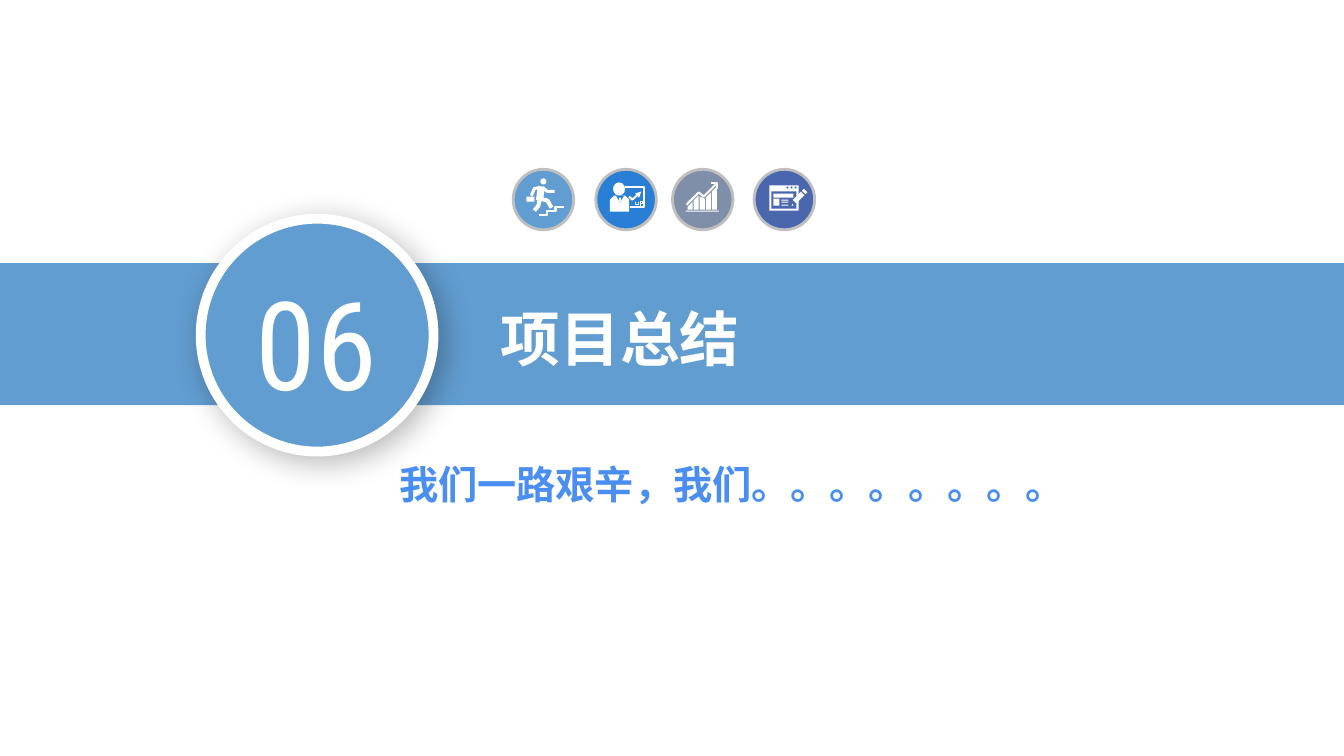
from lxml import etree
from pptx import Presentation
from pptx.dml.color import RGBColor
from pptx.enum.shapes import MSO_SHAPE
from pptx.enum.text import MSO_ANCHOR, PP_ALIGN
from pptx.oxml.ns import qn
from pptx.util import Inches, Pt

RECTANGLE, OVAL = MSO_SHAPE.RECTANGLE, MSO_SHAPE.OVAL
LEFT, CENTER = PP_ALIGN.LEFT, PP_ALIGN.CENTER
MIDDLE = MSO_ANCHOR.MIDDLE

WHITE = RGBColor(0xFF, 0xFF, 0xFF)
SKY = RGBColor(0x62, 0x9D, 0xD1)
BLUE = RGBColor(0x29, 0x7F, 0xD5)
SLATE = RGBColor(0x7F, 0x8F, 0xA9)
INDIGO = RGBColor(0x4A, 0x66, 0xAC)
RING_GRAY = RGBColor(0xBF, 0xBF, 0xBF)
SUBTITLE_BLUE = RGBColor(0x4A, 0x8E, 0xF2)

CJK_FONT = "Noto Sans CJK SC"
BAND = (0, 2.61, 13.33, 1.41)
BADGE = (1.99, 2.17, 2.31, 2.31)
TITLE = ("项目总结", (4.87, 2.94, 4.72, 0.82), LEFT,
         {"name": CJK_FONT, "size": Pt(42.6), "bold": True}, WHITE)
NUMBER = ("06", (2.26, 2.6, 1.75, 1.58), CENTER,
          {"name": "Roboto Condensed", "size": Pt(88), "bold": False}, WHITE)
SUBTITLE = ("我们一路艰辛，我们。。。。。。。。", (3.86, 4.52, 8.18, 0.57), LEFT,
            {"name": "Calibri", "size": Pt(28), "bold": True}, SUBTITLE_BLUE)

ICON_TOP, ICON_SIZE = 1.68, 0.6
UNIT = 0.01
STEP_COUNT, STEP_WIDTH, STEP_HEIGHT = 3, 8, 4
TREND = [(14, 35), (26, 23), (31, 27), (44, 14)]
BAR_COUNT, BAR_WIDTH, BAR_PITCH, BAR_BOTTOM, BAR_GAP = 5, 5, 6, 40, 3


def paint(shape, fill=None, line=None, width=0):
    shape.shadow.inherit = False
    if fill is None:
        shape.fill.background()
    else:
        shape.fill.solid()
        shape.fill.fore_color.rgb = fill
    if line is None:
        shape.line.fill.background()
    else:
        shape.line.color.rgb = line
        shape.line.width = Pt(width)


def add_preset(shapes, kind, place, fill, line=None, width=0):
    shape = shapes.add_shape(kind, *map(Inches, place))
    paint(shape, fill, line, width)
    return shape


class Icon:
    def __init__(self, slide, left, color):
        self.shapes = slide.shapes.add_group_shape().shapes
        self.left = left
        self.color = color
        add_preset(self.shapes, OVAL, (left, ICON_TOP, ICON_SIZE, ICON_SIZE), color, RING_GRAY, 2)

    def preset(self, kind, x, y, width, height, fill=WHITE):
        place = (self.left + x * UNIT, ICON_TOP + y * UNIT, width * UNIT, height * UNIT)
        add_preset(self.shapes, kind, place, fill)

    def outline(self, points, close):
        builder = self.shapes.build_freeform(*points[0], scale=Inches(UNIT))
        builder.add_line_segments(points[1:], close=close)
        return builder.convert_to_shape(Inches(self.left), Inches(ICON_TOP))

    def polygon(self, *points, fill=WHITE):
        paint(self.outline(points, True), fill)

    def stroke(self, thickness, *points):
        paint(self.outline(points, False), line=WHITE, width=thickness * UNIT * 72)


def draw_climber(icon):
    stairs = []
    for step in range(STEP_COUNT):
        x, y = 26 + step * STEP_WIDTH, 45 - step * STEP_HEIGHT
        stairs += [(x, y), (x + STEP_WIDTH, y)]
    icon.stroke(2, *stairs)
    head, briefcase = (27, 9, 6, 6), (13, 27, 8, 5)
    icon.preset(OVAL, *head)
    icon.preset(RECTANGLE, *briefcase)
    limbs = {
        "torso": (7, (28, 17), (26, 31)),
        "front arm": (3, (29, 18), (34, 22), (41, 22)),
        "rear arm": (3, (27, 18), (21, 19), (18, 26)),
        "front leg": (4, (26, 29), (34, 31), (38, 38)),
        "rear leg": (4, (26, 31), (25, 36), (21, 41)),
    }
    for limb in limbs.values():
        icon.stroke(*limb)


def draw_presenter(icon):
    head, tie = (17, 13, 12, 13), (23, 28, 2, 4)
    icon.stroke(2, (29, 18), (48, 18), (48, 37), (34, 37))
    icon.preset(OVAL, *head)
    icon.polygon((14, 30), (18, 26), (29, 26), (33, 30), (33, 42), (14, 42))
    icon.polygon((20, 26), (28, 26), (24, 33), fill=icon.color)
    icon.preset(RECTANGLE, *tie)
    icon.stroke(2, (33, 27), (36, 30), (42, 25))
    icon.polygon((39, 24), (45, 22), (43, 28))
    letter_u = [(39, 32), (39, 35), (42, 35), (42, 32)]
    letter_p = [(44, 36), (44, 32), (46, 32), (46, 34), (44, 34)]
    for letter in (letter_u, letter_p):
        icon.stroke(1, *letter)


def trend_height(x):
    for (x1, y1), (x2, y2) in zip(TREND, TREND[1:]):
        if x <= x2:
            return y1 + (y2 - y1) * (x - x1) / (x2 - x1)


def draw_chart(icon):
    baseline = (13, 41, 33, 1)
    icon.preset(RECTANGLE, *baseline)
    for index in range(BAR_COUNT):
        left = 15 + index * BAR_PITCH
        right = left + BAR_WIDTH
        top = [(x, trend_height(x) + BAR_GAP) for x in (left, right)]
        icon.polygon(*top, (right, BAR_BOTTOM), (left, BAR_BOTTOM))
    tip_x, tip_y = TREND[-1]
    icon.stroke(2, *TREND)
    icon.stroke(2, (tip_x - 6, tip_y), (tip_x, tip_y), (tip_x, tip_y + 6))


def draw_editor(icon):
    frame, page = (15, 16, 29, 25), (17, 22, 25, 17)
    icon.preset(RECTANGLE, *frame)
    icon.preset(RECTANGLE, *page, fill=icon.color)
    for x in (32, 36, 40):
        icon.preset(OVAL, x, 17, 2, 2, fill=icon.color)
    heading, thumbnail = (19, 24, 20, 4), (19, 29, 6, 7)
    for block in (heading, thumbnail):
        icon.preset(RECTANGLE, *block)
    for y in (30, 32, 35):
        icon.preset(RECTANGLE, 27, y, 7, 1)
    icon.polygon((38, 34), (37, 36), (39, 36))
    for pencil_part in ([(40, 32), (48, 24)], [(49, 23), (51, 21)]):
        icon.stroke(5, *pencil_part)


ICONS = [
    (5.09, SKY, draw_climber),
    (5.91, BLUE, draw_presenter),
    (6.67, SLATE, draw_chart),
    (7.48, INDIGO, draw_editor),
]


def add_text(shapes, text, place, alignment, font_format, color):
    frame = shapes.add_textbox(*map(Inches, place)).text_frame
    frame_format = {"word_wrap": True, "vertical_anchor": MIDDLE, "margin_top": 0, "margin_bottom": 0}
    for name, value in frame_format.items():
        setattr(frame, name, value)
    paragraph = frame.paragraphs[0]
    paragraph.alignment = alignment
    run = paragraph.add_run()
    run.text = text
    for name, value in font_format.items():
        setattr(run.font, name, value)
    run.font.color.rgb = color
    etree.SubElement(run.font._element, qn("a:ea"), typeface=CJK_FONT)


def add_shadow(shape):
    effects = shape._element.spPr.find(qn("a:effectLst"))
    shadow = etree.SubElement(effects, qn("a:outerShdw"), blurRad=str(Pt(22)), dist=str(Pt(6)),
                              dir="2700000", algn="tl", rotWithShape="0")
    color = etree.SubElement(shadow, qn("a:srgbClr"), val="000000")
    etree.SubElement(color, qn("a:alpha"), val="28000")


def main():
    presentation = Presentation()
    presentation.slide_width = Inches(13.33)
    presentation.slide_height = Inches(7.5)
    slide = presentation.slides.add_slide(presentation.slide_layouts[6])
    add_preset(slide.shapes, RECTANGLE, BAND, SKY)
    add_text(slide.shapes, *TITLE)
    for left, color, draw in ICONS:
        draw(Icon(slide, left, color))
    badge = slide.shapes.add_group_shape().shapes
    add_shadow(add_preset(badge, OVAL, BADGE, SKY, WHITE, 7))
    add_text(badge, *NUMBER)
    add_text(slide.shapes, *SUBTITLE)
    presentation.save("out.pptx")


if __name__ == "__main__":
    main()
